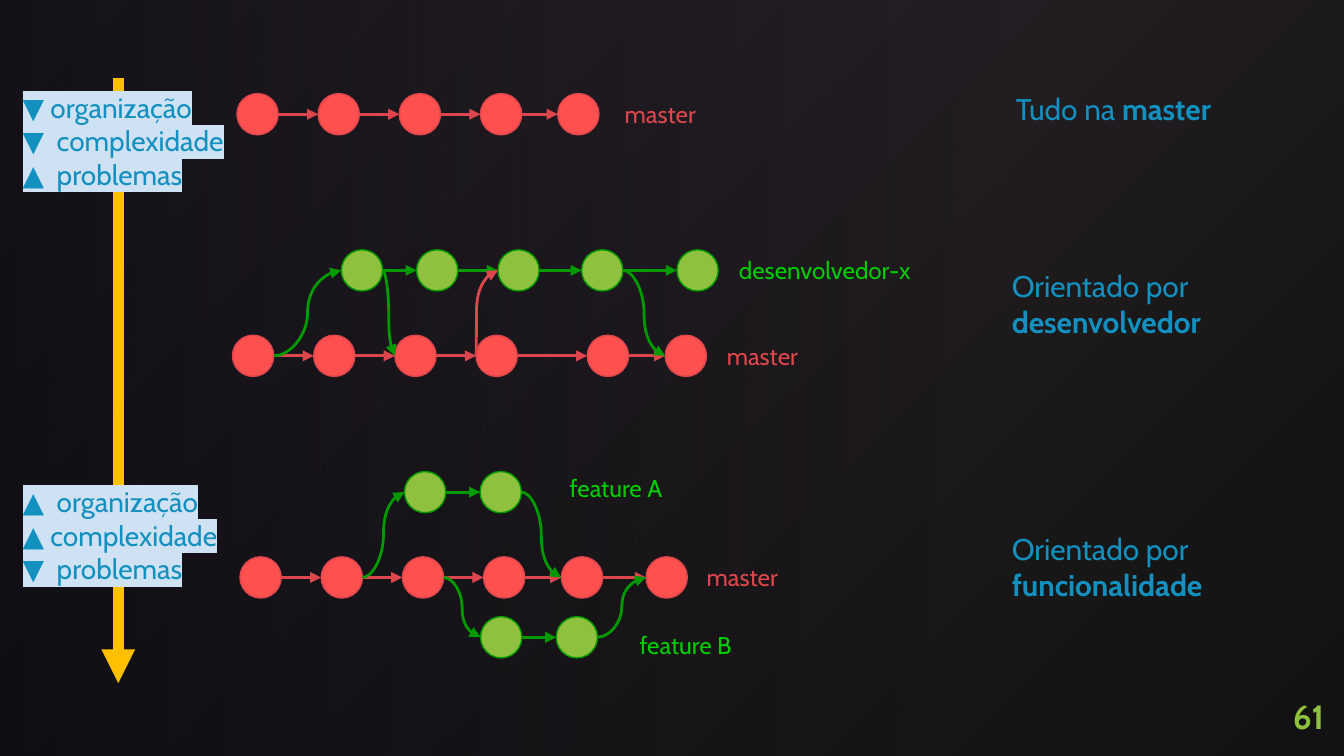
from dataclasses import dataclass

from pptx import Presentation
from pptx.dml.color import RGBColor
from pptx.enum import shapes, text
from pptx.oxml.ns import qn
from pptx.util import Emu, Inches, Pt
from lxml import etree

# The grid has 100 columns on a 16:9 page; rows are as tall as columns are wide
COLUMNS = 100
ROWS = COLUMNS * 9 / 16
CELL = Inches(10) / COLUMNS
NODE = 3.07
FONT = "Cabin"
RED, RED_LINE = "FF5050", "DD464C"
GREEN, GREEN_LINE, GREEN_TEXT = "8FC13E", "009900", "00CC00"
BLUE, PALE_BLUE, YELLOW = "1290BF", "CFE2F3", "FFC000"


@dataclass
class Branch:
    name: str
    middle: float
    lefts: list[float]
    label: tuple[float, float, float]
    is_master: bool = False


@dataclass
class Curve:
    source: tuple[Branch, int]
    target: tuple[Branch, int]
    colour: str = GREEN_LINE
    bend: float = 0.5


@dataclass
class Note:
    box: tuple[float, float, float, float]
    lines: list[str]
    size: int
    colour: str = BLUE
    highlight: str = ""
    bold_end: str = ""


def grid(cells: float) -> Emu:
    return Emu(round(cells * CELL))


def rgb(value: str) -> RGBColor:
    return RGBColor.from_string(value)


def steps(start: float, count: int, pitch: float) -> list[float]:
    return [start + pitch * i for i in range(count)]


def set_gradient(fill, colours: tuple[str, str], angle: int) -> None:
    fill.gradient()
    fill.gradient_angle = (360 - angle) % 360
    for stop, colour in zip(fill.gradient_stops, colours):
        stop.color.rgb = rgb(colour)


def add_arrow(page, start, end, colour: str, width=1.5, curved=False, bend=0.5) -> None:
    kind = shapes.MSO_CONNECTOR.CURVE if curved else shapes.MSO_CONNECTOR.STRAIGHT
    arrow = page.shapes.add_connector(kind, *map(grid, (*start, *end)))
    arrow.line.color.rgb = rgb(colour)
    arrow.line.width = Pt(width)
    properties = arrow._element.spPr
    etree.SubElement(properties.find(qn("a:ln")), qn("a:tailEnd"), type="triangle")
    etree.SubElement(properties, qn("a:effectLst"))
    if curved:
        guides = properties.find(qn("a:prstGeom")).find(qn("a:avLst"))
        etree.SubElement(guides, qn("a:gd"), name="adj1", fmla=f"val {round(bend * 100000)}")


def add_note(page, note: Note):
    box = page.shapes.add_textbox(*map(grid, note.box))
    frame = box.text_frame
    frame.word_wrap = True
    frame.margin_left = frame.margin_right = grid(1)
    frame.margin_top = frame.margin_bottom = grid(1)
    frame.text = "\n".join(note.lines)
    if note.bold_end:
        span = frame.paragraphs[-1].add_run()
        span.text = note.bold_end
        span.font.bold = True
    for para in frame.paragraphs:
        for span in para.runs:
            span.font.name = FONT
            span.font.size = Pt(note.size)
            span.font.color.rgb = rgb(note.colour)
            if note.highlight:
                mark = etree.Element(qn("a:highlight"))
                etree.SubElement(mark, qn("a:srgbClr"), val=note.highlight)
                span.font._element.find(qn("a:solidFill")).addnext(mark)
    return box


def add_branch(page, branch: Branch) -> None:
    fill, line, label = (RED, RED_LINE, RED_LINE) if branch.is_master else (GREEN, GREEN_LINE, GREEN_TEXT)
    for left in branch.lefts:
        top = branch.middle - NODE / 2
        node = page.shapes.add_shape(shapes.MSO_SHAPE.OVAL, *map(grid, (left, top, NODE, NODE)))
        node.shadow.inherit = False
        node.fill.solid()
        node.fill.fore_color.rgb = rgb(fill)
        node.line.color.rgb = rgb(line)
        node.line.width = Pt(0.75)
    for left, following in zip(branch.lefts, branch.lefts[1:]):
        add_arrow(page, (left + NODE, branch.middle), (following, branch.middle), line)
    add_note(page, Note((*branch.label, 4.3), [branch.name], 13, label))


def add_curve(page, curve: Curve) -> None:
    (source, i), (target, j) = curve.source, curve.target
    # The pull from master starts at the near side of its node
    start = source.lefts[i] + (NODE if curve.bend == 0.5 else 0)
    add_arrow(page, (start, source.middle), (target.lefts[j], target.middle),
              curve.colour, curved=True, bend=curve.bend)


# Branches of the three workflows
single = Branch("master", 8.5, steps(17.63, 4, 6.04) + [41.5], (45.5, 6.4, 8.2), True)
developer = Branch("desenvolvedor-x", 20.12, [25.4, 31, 37.05, 43.28, 50.37], (54, 18, 15.6))
shared = Branch("master", 26.48, steps(17.3, 4, 6.04) + [43.7, 49.5], (53.1, 24.4, 8.5), True)
feature_a = Branch("feature A", 36.62, steps(30.1, 2, 5.63), (41.4, 34.2, 9.8))
trunk = Branch("master", 42.97, steps(17.86, 4, 6.04) + [41.77, 48.07], (51.6, 40.85, 8.5), True)
feature_b = Branch("feature B", 47.42, steps(35.76, 2, 5.63), (46.6, 45.9, 10.1))

CURVES = [
    Curve((shared, 0), (developer, 0)),
    Curve((developer, 0), (shared, 2)),
    Curve((shared, 3), (developer, 2), RED_LINE, 0.02),
    Curve((developer, 3), (shared, 5)),
    Curve((trunk, 1), (feature_a, 0)),
    Curve((feature_a, 1), (trunk, 4)),
    Curve((trunk, 2), (feature_b, 0)),
    Curve((feature_b, 1), (trunk, 5)),
]

NOTES = [
    Note((74.6, 5.75, 18.8, 4.3), ["Tudo na "], 16, bold_end="master"),
    Note((74.3, 18.9, 19.8, 7.6), ["Orientado por "], 16, bold_end="desenvolvedor"),
    Note((74.3, 38.5, 19.8, 7.6), ["Orientado por "], 16, bold_end="funcionalidade"),
    Note((0.7, 5.7, 19.8, 10.2), ["▼ organização", "▼  complexidade", "▲  problemas"],
         15, highlight=PALE_BLUE),
    Note((0.7, 35.05, 18.4, 9.5), ["▲  organização", "▲ complexidade", "▼  problemas"],
         15, highlight=PALE_BLUE),
]


def main() -> None:
    deck = Presentation()
    deck.slide_width, deck.slide_height = grid(COLUMNS), grid(ROWS)
    page = deck.slides.add_slide(deck.slide_layouts[6])

    # Background and the shade fading out to the right
    set_gradient(page.background.fill, ("322931", "121212"), 45)
    shade = page.shapes.add_shape(shapes.MSO_SHAPE.RECTANGLE, 0, 0, grid(75), grid(ROWS))
    shade.shadow.inherit = False
    shade.line.fill.background()
    set_gradient(shade.fill, ("000208", "000208"), 180)
    for colour, alpha in zip(shade._element.spPr.iter(qn("a:srgbClr")), (0, 60)):
        etree.SubElement(colour, qn("a:alpha"), val=str(alpha * 1000))

    # Branch diagrams
    for branch in (single, developer, shared, feature_a, trunk, feature_b):
        add_branch(page, branch)
    for curve in CURVES:
        add_curve(page, curve)

    # Scale arrow and notes
    add_arrow(page, (8.8, 5.8), (8.8, 50.83), YELLOW, width=6)
    for note in NOTES:
        add_note(page, note)

    # Slide number
    number = add_note(page, Note((93.8, 50.2, 5.7, 6.1), [], 18, GREEN, bold_end="61"))
    number.text_frame.vertical_anchor = text.MSO_ANCHOR.MIDDLE
    number.text_frame.paragraphs[0].alignment = text.PP_ALIGN.RIGHT

    deck.save("out.pptx")


if __name__ == "__main__":
    main()
